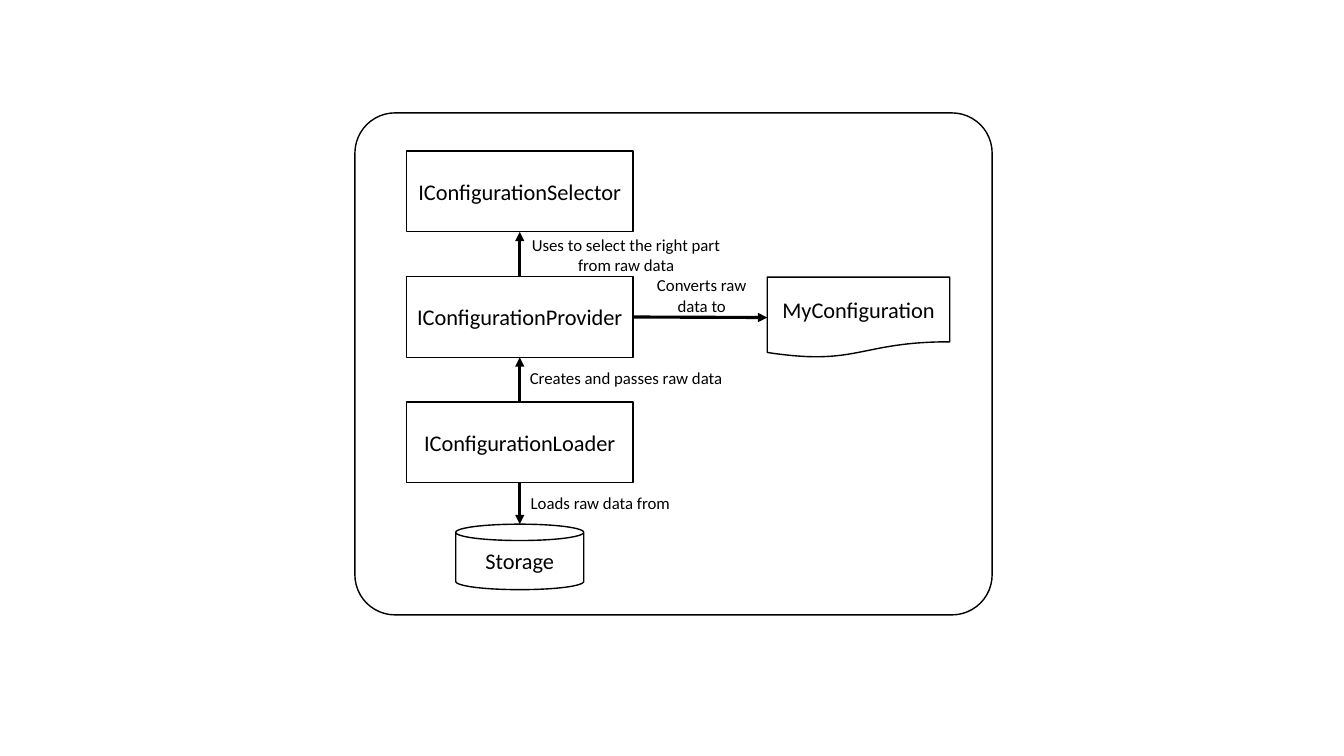
from pptx import Presentation
from pptx.dml.color import RGBColor
from pptx.enum.shapes import MSO_CONNECTOR, MSO_SHAPE
from pptx.enum.text import MSO_ANCHOR, MSO_AUTO_SIZE, PP_ALIGN
from pptx.oxml.ns import qn
from pptx.util import Inches, Pt
from lxml.etree import SubElement

BLACK = "000000"
FONT = "Calibri"
TOP, LEFT, BOTTOM, RIGHT = range(4)
CAN_TOP = 1


def color(hex_string):
    """Turn a hex string into a colour."""
    return RGBColor.from_string(hex_string)


def write(frame, text, size):
    """Put centred text into a text frame."""
    frame.word_wrap = True
    frame.text = text
    paragraph = frame.paragraphs[0]
    paragraph.alignment = PP_ALIGN.CENTER
    font = paragraph.runs[0].font
    font.name, font.size = FONT, Pt(size)
    font.color.rgb = color(BLACK)


def add_node(slide, kind, left, top, width, height, text=None):
    """Add an unfilled outlined shape, with a caption if given."""
    node = slide.shapes.add_shape(
        kind, Inches(left), Inches(top), Inches(width), Inches(height))
    node.shadow.inherit = False
    node.fill.background()
    node.line.color.rgb = color(BLACK)
    node.line.width = Pt(1)
    if text:
        write(node.text_frame, text, 16)
        node.text_frame.vertical_anchor = MSO_ANCHOR.MIDDLE
    return node


def add_arrow(slide, source, source_site, target, target_site):
    """Connect two nodes with an arrow pointing at the target."""
    arrow = slide.shapes.add_connector(MSO_CONNECTOR.STRAIGHT, 0, 0, 0, 0)
    arrow.begin_connect(source, source_site)
    arrow.end_connect(target, target_site)
    arrow.line.color.rgb = color(BLACK)
    arrow.line.width = Pt(2.25)
    SubElement(arrow.line._get_or_add_ln(), qn("a:tailEnd"), type="triangle")
    SubElement(arrow._element.spPr, qn("a:effectLst"))
    return arrow


def add_label(slide, left, top, width, height, text):
    """Add the description of an arrow."""
    label = slide.shapes.add_textbox(
        Inches(left), Inches(top), Inches(width), Inches(height))
    write(label.text_frame, text, 12)
    label.text_frame.auto_size = MSO_AUTO_SIZE.SHAPE_TO_FIT_TEXT


def main():
    """Build the configuration diagram."""
    deck = Presentation()
    deck.slide_width, deck.slide_height = Inches(13.33), Inches(7.5)
    slide = deck.slides.add_slide(deck.slide_layouts[6])

    frame = add_node(slide, MSO_SHAPE.ROUNDED_RECTANGLE, 3.52, 1.12, 6.32, 4.98)
    frame.adjustments[0] = 0.08

    roles = ("Selector", "Provider", "Loader")
    selector, provider, loader = [
        add_node(slide, MSO_SHAPE.RECTANGLE, 4.03, 1.5 + 1.245 * row, 2.25, 0.8,
                 f"IConfiguration{role}")
        for row, role in enumerate(roles)]
    storage = add_node(slide, MSO_SHAPE.CAN, 4.52, 5.2, 1.27, 0.65, "Storage")
    configuration = add_node(slide, MSO_SHAPE.FLOWCHART_DOCUMENT,
                             7.61, 2.75, 1.81, 0.8, "MyConfiguration")

    add_arrow(slide, provider, TOP, selector, BOTTOM)
    add_arrow(slide, loader, TOP, provider, BOTTOM)
    add_arrow(slide, provider, RIGHT, configuration, LEFT)
    loading = add_arrow(slide, loader, BOTTOM, storage, CAN_TOP)
    loading.end_x, loading.end_y = loading.begin_x, storage.top

    add_label(slide, 5.15, 2.28, 2.12, 0.5,
              "Uses to select the right part from raw data")
    add_label(slide, 5.15, 3.6, 2.12, 0.3, "Creates and passes raw data")
    add_label(slide, 5.15, 4.84, 1.61, 0.3, "Loads raw data from")
    add_label(slide, 6.39, 2.68, 1.14, 0.5, "Converts raw data to")

    deck.save("out.pptx")


main()
